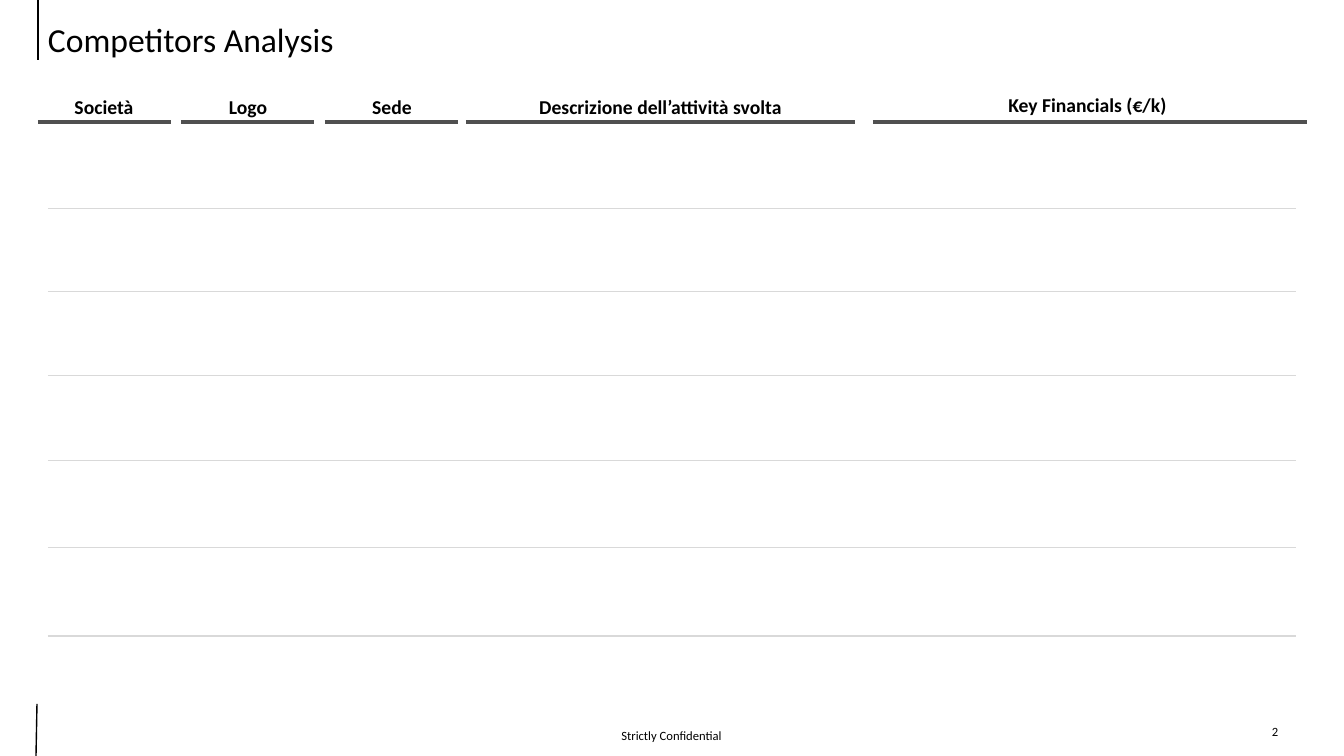
from dataclasses import dataclass

from lxml import etree
from pptx import Presentation
from pptx import util as u
from pptx.dml.color import RGBColor
from pptx.enum import shapes, text
from pptx.oxml.ns import qn

SCALE = 914400 / 100.8  # EMU in one px
W, H = 1344, 756


@dataclass(frozen=True)
class Theme:
    font: str = "Calibri"
    ink: str = "000000"
    rule: str = "505050"
    grid: str = "D9D9D9"
    title: int = 24
    header: int = 14
    footer: int = 9


T = Theme()

# Column label, rule left and width, label left and width, label rise
COLUMNS = [
    ("Società", 38, 133, 42, 124, 0),
    ("Logo", 181, 133, 186, 124, 0),
    ("Sede", 325, 133, 330, 124, 0),
    ("Descrizione dell’attività svolta", 466, 389, 520, 281, 0),
    ("Key Financials (€/k)", 873, 434, 967, 241, 2),
]
ROW_LINES = [87, 170, 254, 339, 426, 514]  # offsets below the header rule


def px(n):
    return u.Emu(round(n * SCALE))


def add_text(s, box, content, size, bold=False, align=text.PP_ALIGN.CENTER,
             anchor=text.MSO_ANCHOR.TOP, spacing=None):
    sp = s.shapes.add_textbox(*map(px, box))
    tf = sp.text_frame
    tf.word_wrap = True
    tf.vertical_anchor = anchor
    p = tf.paragraphs[0]
    p.alignment = align
    p.line_spacing = spacing
    r = p.add_run()
    r.text = content
    r.font.name = T.font
    r.font.size = u.Pt(size)
    r.font.bold = bold
    r.font.color.rgb = RGBColor.from_string(T.ink)


def add_line(s, x1, y1, x2, y2, color, width):
    c = s.shapes.add_connector(shapes.MSO_CONNECTOR.STRAIGHT,
                               *map(px, (x1, y1, x2, y2)))
    c.line.color.rgb = RGBColor.from_string(color)
    c.line.width = u.Pt(width)
    etree.SubElement(c._element.spPr, qn("a:effectLst"))


def add_title(s, x, y, w, h):
    add_line(s, x, y, x, y + h, T.ink, 1)
    add_text(s, (x, y + 22, w, 40), "Competitors Analysis", T.title,
             align=text.PP_ALIGN.LEFT, anchor=text.MSO_ANCHOR.MIDDLE,
             spacing=0.9)


def add_headers(s, y, h):
    for label, x, w, label_x, label_w, rise in COLUMNS:
        add_line(s, x, y + h, x + w, y + h, T.rule, 2.25)
        add_text(s, (label_x, y - rise, label_w, 33), label, T.header,
                 bold=True)


def add_rows(s, x, y, w):
    for dy in ROW_LINES:
        add_line(s, x, y + dy, x + w, y + dy, T.grid, 0.75)


def add_footer(s, x, y, w, h):
    add_line(s, x, y + h, x + 1, y, T.ink, 1)
    add_text(s, (x + 442, y + 12, 387, 40), "Strictly Confidential",
             T.footer, anchor=text.MSO_ANCHOR.MIDDLE)
    add_text(s, (x + w - 66, y + 15, 66, 40), "2", T.footer)


def main():
    prs = Presentation()
    prs.slide_width, prs.slide_height = px(W), px(H)
    s = prs.slides.add_slide(prs.slide_layouts[6])
    add_footer(s, 36, 704, 1272, H - 704)
    add_title(s, 38, 0, 1174, 60)
    add_headers(s, 90, 32)
    add_rows(s, 48, 122, 1248)
    prs.save("out.pptx")


if __name__ == "__main__":
    main()
